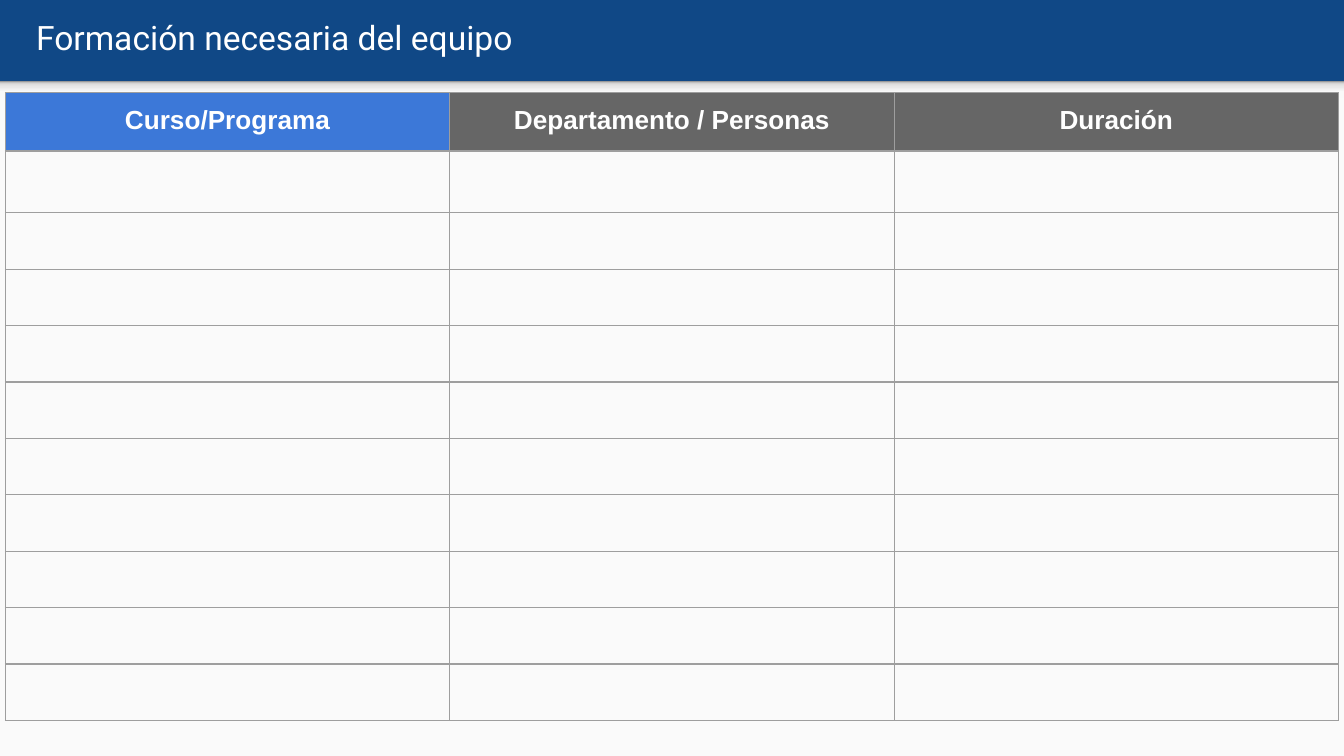
"""Build the team training slide: a title band above an empty course table."""
from copy import deepcopy

from lxml import etree
from pptx import Presentation, util as u
from pptx.dml.color import RGBColor
from pptx.enum import shapes, text
from pptx.oxml import ns

NAVY = RGBColor(0x10, 0x48, 0x86)
PAPER = RGBColor(0xFA, 0xFA, 0xFA)
WHITE = RGBColor(0xFF, 0xFF, 0xFF)
BLUE = RGBColor(0x3C, 0x78, 0xD8)
GRAY = RGBColor(0x66, 0x66, 0x66)
BORDER = RGBColor(0x9E, 0x9E, 0x9E)
SHADE_STOPS = [
    (0, RGBColor(0xF9, 0xF9, 0xF9)),
    (0.36, RGBColor(0xF9, 0xF9, 0xF9)),
    (0.8, RGBColor(0xDE, 0xDE, 0xDE)),
    (1, RGBColor(0x99, 0x99, 0x99)),
]
HEADINGS = [("Curso/Programa", BLUE), ("Departamento / Personas", GRAY), ("Duración", GRAY)]
BODY_ROWS = 10
WIDTH = u.Inches(10)
HEIGHT = WIDTH * 9 // 16
BAND = u.Inches(0.69)
MARGIN = u.Inches(0.04)
ROW = u.Inches(0.42)
FIRST_BODY_ROW = u.Inches(0.46)
INSET = u.Inches(0.1)


def write(frame, content, font="Arial", size=14, bold=False, align=text.PP_ALIGN.LEFT):
    frame.word_wrap = True
    paragraph = frame.paragraphs[0]
    paragraph.alignment = align
    run = paragraph.add_run()
    run.text = content
    run.font.name, run.font.size, run.font.bold = font, u.Pt(size), bold
    run.font.color.rgb = WHITE


def add_rectangle(slide, top, height):
    shape = slide.shapes.add_shape(shapes.MSO_SHAPE.RECTANGLE, 0, top, WIDTH, height)
    shape.shadow.inherit = False
    shape.line.fill.background()
    return shape


presentation = Presentation()
presentation.slide_width, presentation.slide_height = WIDTH, HEIGHT
slide = presentation.slides.add_slide(presentation.slide_layouts[6])
slide.background.fill.solid()
slide.background.fill.fore_color.rgb = NAVY

page = add_rectangle(slide, BAND, HEIGHT - BAND)
page.fill.solid()
page.fill.fore_color.rgb = PAPER

shade = add_rectangle(slide, u.Inches(0.6), u.Inches(0.13))
shade.fill.gradient()
shade.fill.gradient_angle = 90
stop_list = shade._element.spPr.find(".//" + ns.qn("a:gsLst"))
for _ in range(len(SHADE_STOPS) - len(stop_list)):
    stop_list.append(deepcopy(stop_list[0]))
for stop, (position, color) in zip(shade.fill.gradient_stops, SHADE_STOPS):
    stop.position = position
    stop.color.rgb = color

title = slide.shapes.add_textbox(u.Inches(0.17), 0, u.Inches(4.31), u.Inches(0.55))
title.text_frame.vertical_anchor = text.MSO_ANCHOR.MIDDLE
title.text_frame.margin_left = title.text_frame.margin_right = INSET
title.text_frame.margin_top = title.text_frame.margin_bottom = INSET
write(title.text_frame, "Formación necesaria del equipo", font="Roboto", size=18)

table = slide.shapes.add_table(
    BODY_ROWS + 1, len(HEADINGS), MARGIN, BAND, WIDTH - 2 * MARGIN, ROW * (BODY_ROWS + 1)
).table
table.horz_banding = False
for row in table.rows:
    row.height = ROW
table.rows[1].height = FIRST_BODY_ROW

for cell in table.iter_cells():
    cell.margin_left = cell.margin_right = cell.margin_top = cell.margin_bottom = INSET
    properties = cell._tc.get_or_add_tcPr()
    for side in ("a:lnL", "a:lnR", "a:lnT", "a:lnB"):
        line = etree.SubElement(properties, ns.qn(side), w=str(u.Pt(0.75)))
        fill = etree.SubElement(line, ns.qn("a:solidFill"))
        etree.SubElement(fill, ns.qn("a:srgbClr"), val=str(BORDER))
    cell.fill.background()
    if cell._tc.row_idx:
        etree.SubElement(cell.text_frame.paragraphs[0]._p, ns.qn("a:endParaRPr"), sz="1000")

for column, (heading, color) in enumerate(HEADINGS):
    cell = table.cell(0, column)
    cell.fill.solid()
    cell.fill.fore_color.rgb = color
    write(cell.text_frame, heading, bold=True, align=text.PP_ALIGN.CENTER)

presentation.save("out.pptx")
